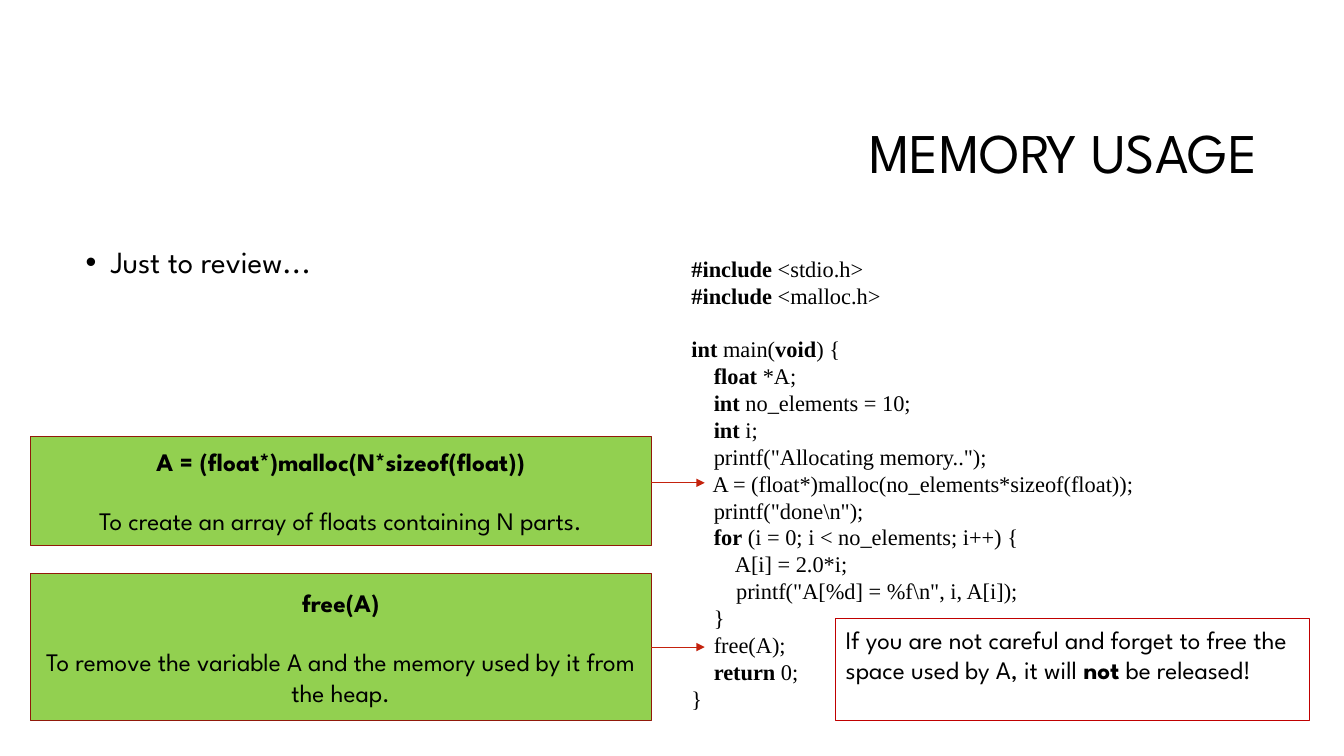
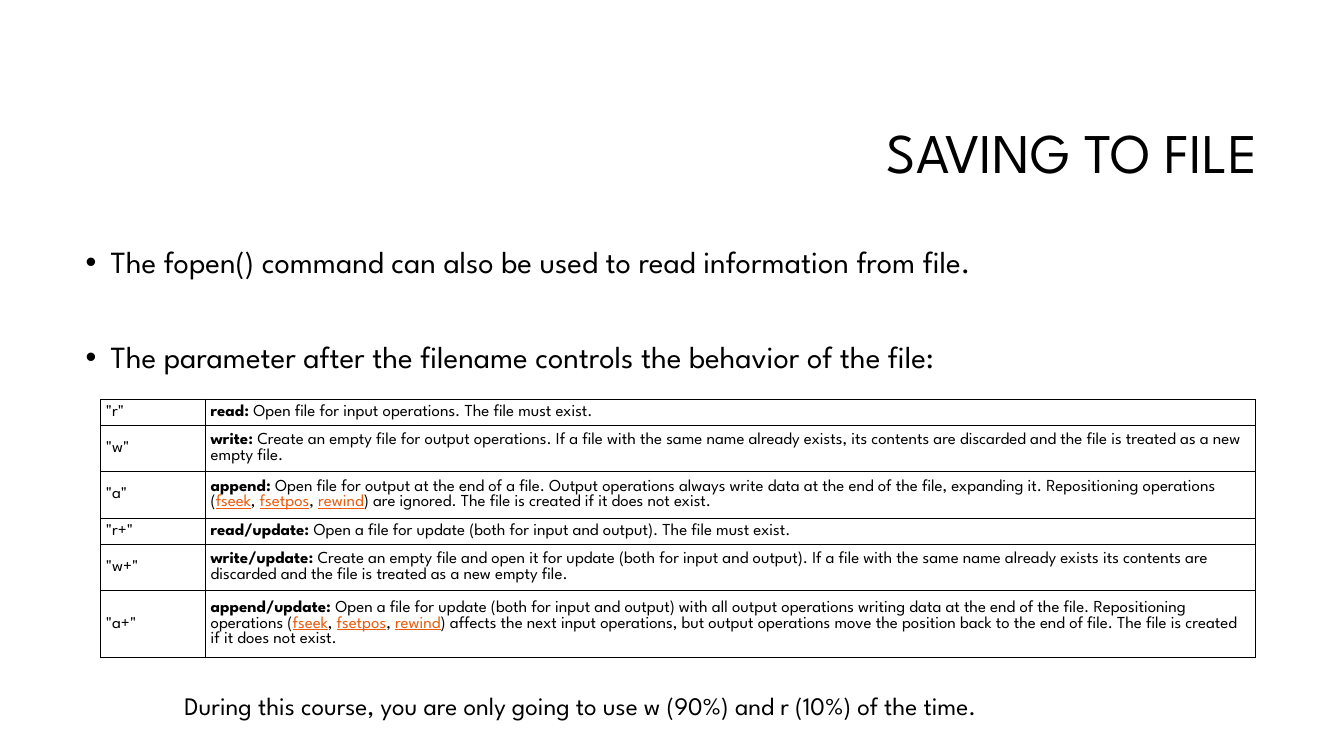
from lxml import etree
from pptx import Presentation
from pptx.dml.color import RGBColor
from pptx.enum.shapes import MSO_CONNECTOR, MSO_SHAPE
from pptx.enum.text import MSO_ANCHOR, PP_ALIGN
from pptx.oxml.ns import qn
from pptx.util import Inches, Pt

LEFT, CENTER, RIGHT = PP_ALIGN.LEFT, PP_ALIGN.CENTER, PP_ALIGN.RIGHT
TOP, MIDDLE = MSO_ANCHOR.TOP, MSO_ANCHOR.MIDDLE
RECTANGLE, STRAIGHT = MSO_SHAPE.RECTANGLE, MSO_CONNECTOR.STRAIGHT
RIGHT_SIDE = 3

COLORS = {
    "text": "000000",
    "paper": "FFFFFF",
    "note_fill": "92D050",
    "note_line": "91190A",
    "arrow": "C4220D",
    "warning_line": "C00000",
    "link": "EA5A0C",
}
FONT, CODE_FONT = "League Spartan", "Times New Roman"
BOLD_MARK, LINK_MARK = "**", "~"

MEMORY_TITLE = "MEMORY USAGE"
MEMORY_BULLETS = ["Just to review..."]
CODE_BLOCKS = [
    ["**#include** <stdio.h>", "**#include** <malloc.h>"],
    [
        "**int **main(**void**) {",
        "    **float** *A;",
        "    **int **no_elements = 10;",
        "    **int **i;",
        '    printf("Allocating memory..");',
        "    A = (float*)malloc(no_elements*sizeof(float));",
        '    printf("done\\n");',
        "    **for** (i = 0; i < no_elements; i++) {",
        "        A[i] = 2.0*i;",
        '        printf("A[%d] = %f\\n", i, A[i]);',
        "    }",
        "    free(A);",
        "    **return** 0;",
        "}",
    ],
]
NOTES = [
    {"top": 4.33, "height": 1.08, "arrow": 4.79, "lines": [
        "**A = (float*)malloc(N*sizeof(float))**",
        "To create an array of floats containing N parts."]},
    {"top": 5.69, "height": 1.46, "arrow": 6.42, "lines": [
        "**free(A)**",
        "To remove the variable A and the memory used by it from the heap."]},
]
NOTE_LEFT, NOTE_WIDTH, ARROW_END = 0.3, 6.16, 6.99
WARNING = ("If you are not careful and forget to free the space used by A, "
           "it will **not** be released!")

FILE_TITLE = "SAVING TO FILE"
FILE_BULLETS = [
    "The fopen() command can also be used to read information from file.",
    "The parameter after the filename controls the behavior of the file:",
]
REPOSITIONING = "(~fseek~, ~fsetpos~, ~rewind~)"
FILE_MODES = [
    ('"r"', 0.25, "**read:** Open file for input operations. The file must exist."),
    ('"w"', 0.45, "**write:** Create an empty file for output operations. If a file with "
     "the same name already exists, its contents are discarded and the file is treated "
     "as a new empty file."),
    ('"a"', 0.46, "**append:** Open file for output at the end of a file. Output operations "
     "always write data at the end of the file, expanding it. Repositioning operations "
     f"{REPOSITIONING} are ignored. The file is created if it does not exist."),
    ('"r+"', 0.25, "**read/update:** Open a file for update (both for input and output). "
     "The file must exist."),
    ('"w+"', 0.45, "**write/update:** Create an empty file and open it for update (both for "
     "input and output). If a file with the same name already exists its contents are "
     "discarded and the file is treated as a new empty file."),
    ('"a+"', 0.65, "**append/update:** Open a file for update (both for input and output) "
     "with all output operations writing data at the end of the file. Repositioning "
     f"operations {REPOSITIONING} affects the next input operations, but output operations "
     "move the position back to the end of file. The file is created if it does not exist."),
]
MODE_COLUMNS = [1.04, 10.41]
USAGE = "During this course, you are only going to use w (90%) and r (10%) of the time."


def color(name):
    return RGBColor.from_string(COLORS[name])


def add_runs(paragraph, text):
    for i, part in enumerate(text.split(BOLD_MARK)):
        for j, piece in enumerate(part.split(LINK_MARK)):
            if piece:
                run = paragraph.add_run()
                run.text = piece
                if i % 2:
                    run.font.bold = True
                if j % 2:
                    run.font.underline = True
                    run.font.color.rgb = color("link")


def add_bullet(paragraph):
    properties = paragraph._p.get_or_add_pPr()
    properties.set("marL", str(Inches(0.25)))
    properties.set("indent", str(-Inches(0.25)))
    etree.SubElement(properties, qn("a:buFont"), typeface="Arial")
    etree.SubElement(properties, qn("a:buChar"), char="•")


def write(frame, lines, size, font=FONT, align=LEFT, anchor=TOP,
          spacing=1, gaps=None, bullets=False):
    frame.word_wrap = True
    frame.vertical_anchor = anchor
    for index, line in enumerate(lines):
        paragraph = frame.add_paragraph() if index else frame.paragraphs[0]
        add_runs(paragraph, line)
        paragraph.alignment = align
        paragraph.line_spacing = spacing
        if gaps and index in gaps:
            paragraph.space_before = Pt(gaps[index])
        if bullets:
            add_bullet(paragraph)
        paragraph.font.size = Pt(size)
        paragraph.font.name = font
        paragraph.font.color.rgb = color("text")


def add_text(slide, box, lines, size, **style):
    shape = slide.shapes.add_textbox(*map(Inches, box))
    write(shape.text_frame, lines, size, **style)


def add_box(slide, box, line, width, fill=None):
    shape = slide.shapes.add_shape(RECTANGLE, *map(Inches, box))
    shape.shadow.inherit = False
    shape.line.color.rgb = color(line)
    shape.line.width = Pt(width)
    if fill:
        shape.fill.solid()
        shape.fill.fore_color.rgb = color(fill)
    else:
        shape.fill.background()
    return shape


def add_arrow(slide, note, box):
    start, end, y = map(Inches, (NOTE_LEFT + NOTE_WIDTH, ARROW_END, note["arrow"]))
    arrow = slide.shapes.add_connector(STRAIGHT, start, y, end, y)
    if round(note["top"] + note["height"] / 2, 2) == note["arrow"]:
        arrow.begin_connect(box, RIGHT_SIDE)
    arrow.line.color.rgb = color("arrow")
    arrow.line.width = Pt(0.75)
    etree.SubElement(arrow.line._get_or_add_ln(), qn("a:tailEnd"), type="triangle")
    etree.SubElement(arrow._element.spPr, qn("a:effectLst"))


def add_borders(cell):
    properties = cell._tc.get_or_add_tcPr()
    for index, side in enumerate(("lnL", "lnR", "lnT", "lnB")):
        line = etree.Element(qn(f"a:{side}"), w=str(Pt(0.75)))
        fill = etree.SubElement(line, qn("a:solidFill"))
        etree.SubElement(fill, qn("a:srgbClr"), val=COLORS["text"])
        properties.insert(index, line)


def add_mode_table(slide):
    height = sum(mode[1] for mode in FILE_MODES)
    box = map(Inches, (1, 3.96, sum(MODE_COLUMNS), height))
    table = slide.shapes.add_table(len(FILE_MODES), len(MODE_COLUMNS), *box).table
    table.first_row = table.horz_banding = False
    for column, width in zip(table.columns, MODE_COLUMNS):
        column.width = Inches(width)
    for row, (mode, row_height, meaning) in zip(table.rows, FILE_MODES):
        row.height = Inches(row_height)
        for cell, text in zip(row.cells, (mode, meaning)):
            cell.fill.solid()
            cell.fill.fore_color.rgb = color("paper")
            cell.margin_left = cell.margin_right = Inches(0.05)
            cell.margin_top = cell.margin_bottom = Inches(0.03)
            cell.vertical_anchor = MIDDLE
            write(cell.text_frame, [text], 12, anchor=None)
            add_borders(cell)


def add_slide(presentation, title, bullets, width):
    slide = presentation.slides.add_slide(presentation.slide_layouts[6])
    add_text(slide, (3.15, 0.84, 9.42, 1.41), [title], 40,
             align=RIGHT, anchor=MIDDLE, spacing=0.9)
    add_text(slide, (0.75, 2.4, width, 4.4), bullets, 22,
             spacing=0.9, gaps={1: 44}, bullets=True)
    return slide


def build_memory_slide(presentation):
    slide = add_slide(presentation, MEMORY_TITLE, MEMORY_BULLETS, 4.59)
    code = [line for block in CODE_BLOCKS for line in block]
    add_text(slide, (6.76, 2.48, 5.67, 4.68), code, 16,
             font=CODE_FONT, gaps={len(CODE_BLOCKS[0]): 19.2})
    for note in NOTES:
        box = add_box(slide, (NOTE_LEFT, note["top"], NOTE_WIDTH, note["height"]),
                      "note_line", 1, "note_fill")
        write(box.text_frame, note["lines"], 18,
              align=CENTER, anchor=MIDDLE, gaps={1: 21})
        add_arrow(slide, note, box)
    warning = add_box(slide, (8.29, 6.14, 4.7, 1.01), "warning_line", 0.75)
    write(warning.text_frame, [WARNING], 18)


def build_file_slide(presentation):
    slide = add_slide(presentation, FILE_TITLE, FILE_BULLETS, 11.83)
    add_text(slide, (1.73, 6.8, 10.11, 0.4), [USAGE], 18)
    add_mode_table(slide)


def main():
    presentation = Presentation()
    presentation.slide_width = Inches(13.33)
    presentation.slide_height = Inches(7.5)
    build_memory_slide(presentation)
    build_file_slide(presentation)
    presentation.save("out.pptx")


if __name__ == "__main__":
    main()
